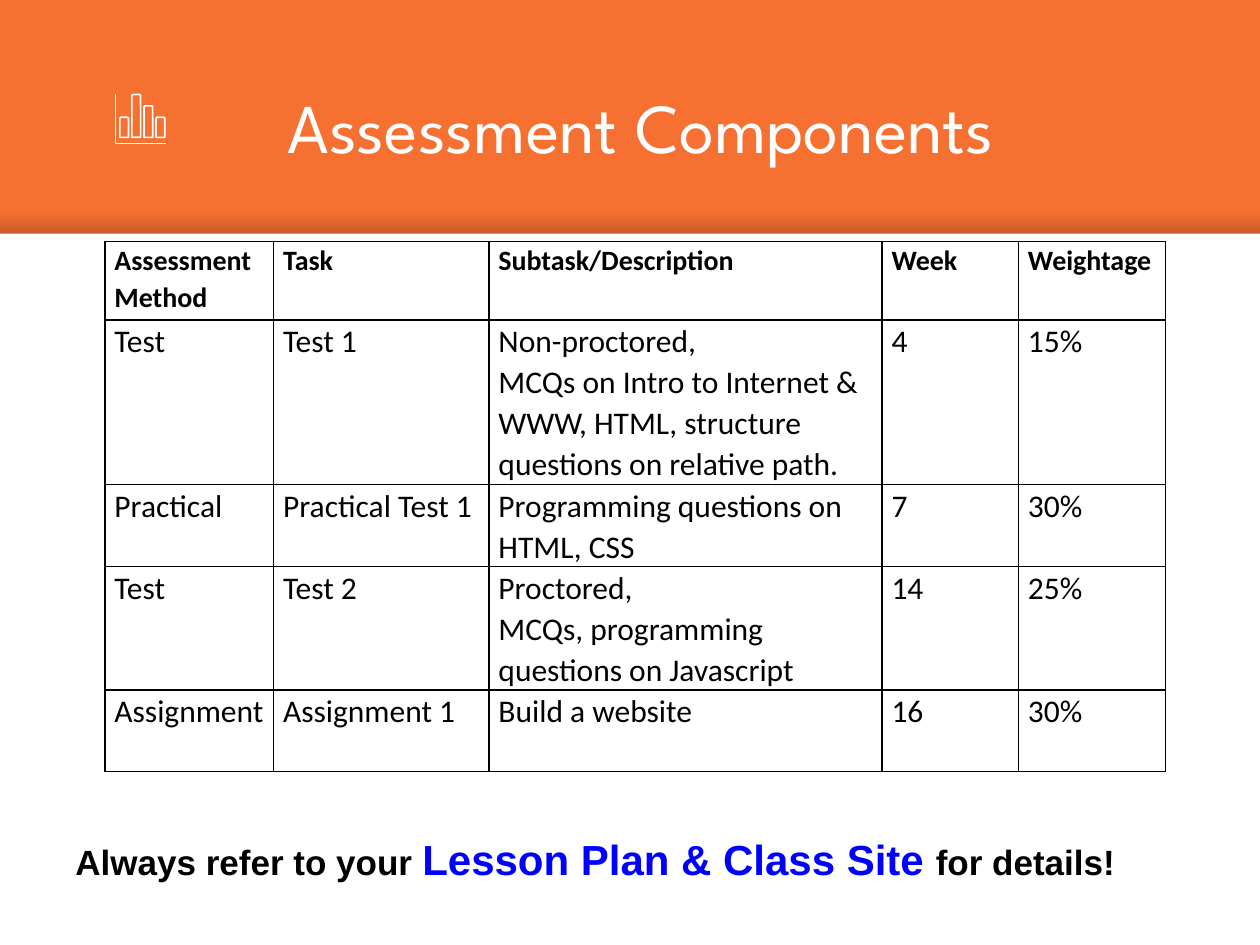
import pptx
import pptx.util
import pptx.dml.color
import pptx.enum.shapes
import pptx.enum.text
import pptx.oxml
import pptx.oxml.ns

Pt = pptx.util.Pt
MSO_SHAPE = pptx.enum.shapes.MSO_SHAPE
COLORS = {"orange": "F67031", "white": "FFFFFF", "black": "000000", "shade": "000014", "blue": "0000FF"}
NAMESPACE = pptx.oxml.ns.nsdecls("a")


def rgb(name):
    return pptx.dml.color.RGBColor.from_string(COLORS[name])


def add_text(paragraph, text, size=18, font="Calibri", color="black", bold=False):
    run = paragraph.add_run()
    run.text = text
    run.font.size = Pt(size)
    run.font.name = font
    run.font.bold = bold
    run.font.color.rgb = rgb(color)


presentation = pptx.Presentation()
presentation.slide_width, presentation.slide_height = Pt(720), Pt(540)
slide = presentation.slides.add_slide(presentation.slide_layouts[5])
slide.background.fill.solid()
slide.background.fill.fore_color.rgb = rgb("orange")

shade = slide.shapes.add_shape(MSO_SHAPE.RECTANGLE, 0, Pt(122), Pt(720), Pt(11.5))
shade.shadow.inherit = False
shade.line.fill.background()
shade.fill.gradient()
shade.fill.gradient_angle = 270
for stop, alpha in zip(shade.fill.gradient_stops, (0, 20000)):
    stop.color.rgb = rgb("shade")
for color, alpha in zip(shade.element.spPr.iter(pptx.oxml.ns.qn("a:srgbClr")), (0, 20000)):
    color.append(pptx.oxml.parse_xml(f'<a:alpha {NAMESPACE} val="{alpha}"/>'))

panel = slide.shapes.add_shape(MSO_SHAPE.RECTANGLE, 0, Pt(133.5), Pt(720), Pt(406.5))
panel.shadow.inherit = False
panel.line.fill.background()
panel.fill.solid()
panel.fill.fore_color.rgb = rgb("white")

title = slide.shapes.title
title.left, title.top, title.width, title.height = Pt(24), Pt(36), Pt(684), Pt(72)
frame = title.text_frame
frame.margin_left = frame.margin_right = frame.margin_top = frame.margin_bottom = Pt(7.2)
frame.vertical_anchor = pptx.enum.text.MSO_ANCHOR.MIDDLE
frame.paragraphs[0].alignment = pptx.enum.text.PP_ALIGN.CENTER
add_text(frame.paragraphs[0], "Assessment Components", size=40, font="League Spartan", color="white")

axis_builder = slide.shapes.build_freeform(Pt(66), Pt(54))
axis_builder.add_line_segments([(Pt(66), Pt(82)), (Pt(95), Pt(82))], close=False)
icon_shapes = [axis_builder.convert_to_shape()]
BAR_BOTTOM = 78.5
for index, bar_top in enumerate((67, 54, 60.5, 67)):
    icon_shapes.append(slide.shapes.add_shape(
        MSO_SHAPE.ROUND_2_SAME_RECTANGLE,
        Pt(68.5 + 6.9 * index), Pt(bar_top), Pt(5), Pt(BAR_BOTTOM - bar_top)))
for shape in icon_shapes:
    shape.shadow.inherit = False
    shape.fill.background()
    shape.line.color.rgb = rgb("white")
    shape.line.width = Pt(0.96)

ROWS = [
    ("Assessment Method", "Task", "Subtask/Description", "Week", "Weightage"),
    ("Test", "Test 1",
     "Non-proctored,\nMCQs on Intro to Internet & WWW, HTML, structure questions on relative path.", "4", "15%"),
    ("Practical", "Practical Test 1", "Programming questions on HTML, CSS", "7", "30%"),
    ("Test", "Test 2", "Proctored,\nMCQs, programming questions on Javascript", "14", "25%"),
    ("Assignment", "Assignment 1", "Build a website", "16", "30%"),
]
COLUMN_WIDTHS = (96.4, 123.1, 224.6, 78, 84)
ROW_HEIGHTS = (44.8, 92.2, 46.3, 69.5, 46.5)

table = slide.shapes.add_table(len(ROWS), len(COLUMN_WIDTHS), Pt(60), Pt(138),
                               Pt(sum(COLUMN_WIDTHS)), Pt(sum(ROW_HEIGHTS))).table
table.first_row = table.horz_banding = False
for column, width in zip(table.columns, COLUMN_WIDTHS):
    column.width = Pt(width)
for row_index, (row, height, texts) in enumerate(zip(table.rows, ROW_HEIGHTS, ROWS)):
    row.height = Pt(height)
    header = row_index == 0
    for cell, text in zip(row.cells, texts):
        cell.margin_left = cell.margin_right = Pt(5.4)
        cell.margin_top = cell.margin_bottom = 0
        for line_index, line in enumerate(text.split("\n")):
            paragraph = cell.text_frame.add_paragraph() if line_index else cell.text_frame.paragraphs[0]
            paragraph.line_spacing = 1.07
            add_text(paragraph, line, size=16 if header else 18, bold=header)
        properties = cell._tc.get_or_add_tcPr()
        for side in ("lnL", "lnR", "lnT", "lnB"):
            properties.append(pptx.oxml.parse_xml(
                f'<a:{side} {NAMESPACE} w="{Pt(1)}"><a:solidFill>'
                f'<a:srgbClr val="{COLORS["black"]}"/></a:solidFill></a:{side}>'))
        cell.fill.background()

note = slide.shapes.add_textbox(Pt(36), Pt(473), Pt(636), Pt(36))
note.text_frame.word_wrap = True
paragraph = note.text_frame.paragraphs[0]
for text, size, color in (("Always refer to your ", 20, "black"),
                          ("Lesson Plan & Class Site ", 24, "blue"),
                          ("for details!", 20, "black")):
    add_text(paragraph, text, size=size, font="Arial", color=color, bold=True)

presentation.save("out.pptx")
